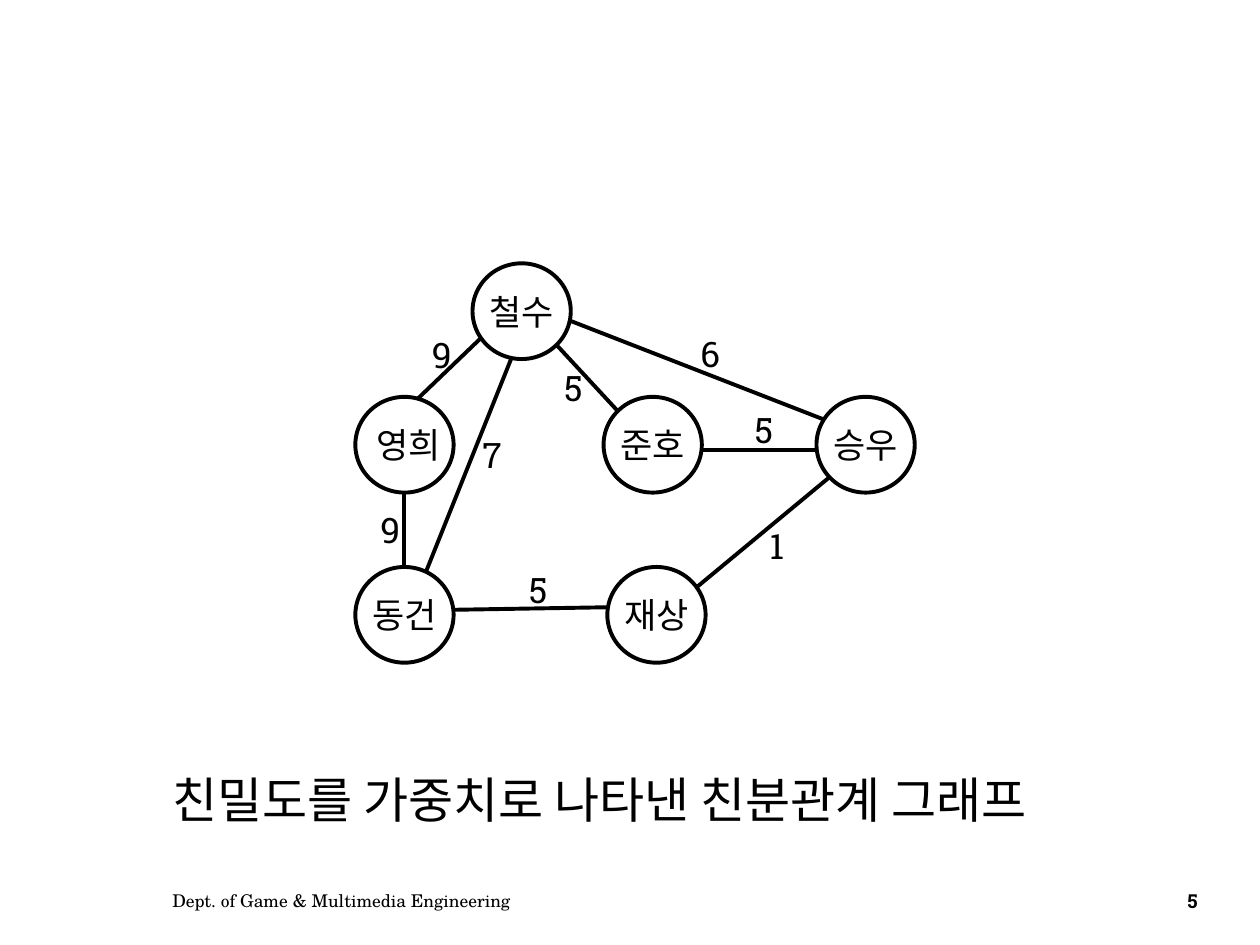
from dataclasses import dataclass

from lxml import etree
from pptx import Presentation
from pptx.dml.color import RGBColor
from pptx.enum.shapes import MSO_CONNECTOR, MSO_SHAPE
from pptx.enum.text import MSO_ANCHOR, PP_ALIGN
from pptx.oxml.ns import qn
from pptx.util import Inches, Pt

STRAIGHT = MSO_CONNECTOR.STRAIGHT
OVAL = MSO_SHAPE.OVAL
TOP, MIDDLE = MSO_ANCHOR.TOP, MSO_ANCHOR.MIDDLE
LEFT, CENTER = PP_ALIGN.LEFT, PP_ALIGN.CENTER


@dataclass(frozen=True)
class Theme:
    ink: RGBColor = RGBColor(0, 0, 0)
    korean_font: str = "Noto Sans CJK KR"
    number_font: str = "Roboto Slab"
    caption_font: str = "Arial"
    footer_font: str = "TeX Gyre Schola"
    graph_size: int = 20
    caption_size: int = 28
    footer_size: int = 10
    page_size: int = 11
    line_width: float = 2.25


THEME = Theme()
NODE_WIDTH, NODE_HEIGHT = 0.78, 0.76
LABEL_WIDTH, LABEL_HEIGHT = 0.37, 0.43
MIDDLE_ROW, BOTTOM_ROW = 3.15, 4.5

# Person: left, top
PEOPLE = {
    "철수": (3.75, 2.09),
    " 영희": (2.82, MIDDLE_ROW),
    "준호": (4.79, MIDDLE_ROW),
    "승우": (6.48, MIDDLE_ROW),
    "동건": (2.82, BOTTOM_ROW),
    "재상": (4.82, BOTTOM_ROW),
}

# Start, end, closeness, left and top of its label
FRIENDSHIPS = [
    ((3.31, 3.17), (3.81, 2.69), 9, (3.33, 2.6)),
    ((4.51, 2.54), (6.54, 3.33), 6, (5.46, 2.59)),
    ((4.41, 2.73), (4.91, 3.27), 5, (4.38, 2.86)),
    ((3.59, 4.84), (4.81, 4.82), 5, (4.1, 4.46)),
    ((5.58, 3.57), (6.48, 3.57), 5, (5.89, 3.19)),
    ((5.53, 4.66), (6.58, 3.79), 1, (6.01, 4.11)),
    ((3.21, 3.92), (3.21, 4.5), 9, (2.92, 3.99)),
    ((4.06, 2.84), (3.38, 4.54), 7, (3.73, 3.39)),
]


def write_text(shape, text, font, size, align=LEFT, anchor=TOP, wrap=True, bold=False):
    frame = shape.text_frame
    frame.word_wrap = wrap
    frame.vertical_anchor = anchor
    paragraph = frame.paragraphs[0]
    paragraph.alignment = align
    run = paragraph.add_run()
    run.text = text
    font_format = {"name": font, "size": Pt(size), "bold": bold}
    for attribute, value in font_format.items():
        setattr(run.font, attribute, value)
    run.font.color.rgb = THEME.ink
    # Korean letters take their typeface from the East Asian slot
    east_asian = etree.Element(qn("a:ea"), typeface=THEME.korean_font)
    run.font._element.find(qn("a:latin")).addnext(east_asian)


def style_line(line):
    line.color.rgb = THEME.ink
    line.width = Pt(THEME.line_width)


def add_text(slide, box, text, font, size, **text_format):
    shape = slide.shapes.add_textbox(*map(Inches, box))
    write_text(shape, text, font, size, **text_format)


def add_person(slide, name, position):
    box = (*position, NODE_WIDTH, NODE_HEIGHT)
    shape = slide.shapes.add_shape(OVAL, *map(Inches, box))
    shape.shadow.inherit = False
    shape.fill.background()
    style_line(shape.line)
    write_text(shape, name, THEME.korean_font, THEME.graph_size,
               align=CENTER, anchor=MIDDLE, wrap=False)


def add_friendship(slide, start, end):
    connector = slide.shapes.add_connector(STRAIGHT, *map(Inches, (*start, *end)))
    style_line(connector.line)
    etree.SubElement(connector._element.spPr, qn("a:effectLst"))


def main():
    presentation = Presentation()
    presentation.slide_width = Inches(10)
    presentation.slide_height = Inches(7.5)
    slide = presentation.slides.add_slide(presentation.slide_layouts[6])

    # Weighted graph
    for start, end, _, _ in FRIENDSHIPS:
        add_friendship(slide, start, end)
    for name, position in PEOPLE.items():
        add_person(slide, name, position)
    for _, _, closeness, position in FRIENDSHIPS:
        add_text(slide, (*position, LABEL_WIDTH, LABEL_HEIGHT), str(closeness),
                 THEME.number_font, THEME.graph_size)

    # Caption
    add_text(slide, (1.27, 6.06, 7.63, 0.57), "친밀도를 가중치로 나타낸 친분관계 그래프",
             THEME.caption_font, THEME.caption_size)

    # Footer and page number
    add_text(slide, (1.27, 6.95, 4.59, 0.4), "Dept. of Game & Multimedia Engineering",
             THEME.footer_font, THEME.footer_size, anchor=MIDDLE)
    add_text(slide, (9.2, 6.95, 0.53, 0.4), "5", THEME.number_font, THEME.page_size,
             align=CENTER, anchor=MIDDLE, bold=True)

    presentation.save("out.pptx")


if __name__ == "__main__":
    main()
